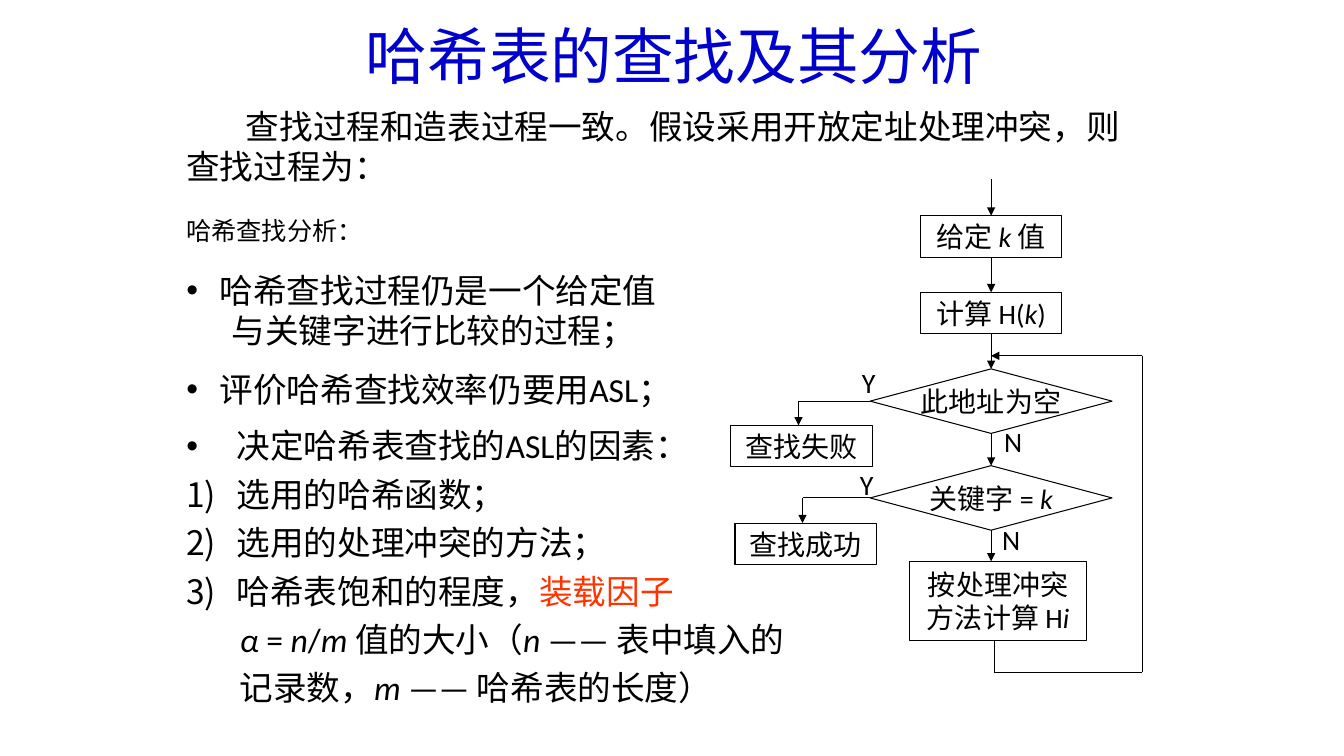
import pptx
import pptx.util
import pptx.dml.color
import pptx.enum.shapes
import pptx.enum.text
import pptx.oxml.ns
from lxml import etree

PX = 9144  # 100 px to the inch
COLORS = {"title": "0000CC", "text": "000000", "accent": "FF3300", "line": "000000"}
LATIN, CJK = "Calibri", "Noto Sans CJK SC"
TOP, LEFT, BOTTOM = 0, 1, 2
AXIS = 983  # centre of the main flow
SHAPE = pptx.enum.shapes.MSO_SHAPE
ALIGN = pptx.enum.text.PP_ALIGN
ANCHOR = pptx.enum.text.MSO_ANCHOR


def px(n):
    return pptx.util.Emu(n * PX)


def rgb(name):
    return pptx.dml.color.RGBColor.from_string(COLORS[name])


def sub(parent, tag, **attrs):
    return etree.SubElement(parent, pptx.oxml.ns.qn(tag), **attrs)


def add_run(p, text, size=24, color="text", italic=False, font=LATIN):
    r = p.add_run()
    r.text = text
    r.font.size = pptx.util.Pt(size)
    r.font.color.rgb = rgb(color)
    r.font.italic = italic
    r.font.name = font
    sub(r._r.get_or_add_rPr(), "a:ea", typeface=CJK)


def add_text(p, text, **fmt):
    """Write text in which *stars* enclose italic parts."""
    for i, part in enumerate(text.split("*")):
        if part:
            add_run(p, part, italic=i % 2 == 1, **fmt)


def set_list(p, margin=0, indent=0, bullet=None):
    """Set indents in px; bullet is a character, "number" or None."""
    pPr = p._p.get_or_add_pPr()
    pPr.set("marL", str(px(margin)))
    pPr.set("indent", str(px(indent)))
    if bullet == "number":
        sub(pPr, "a:buAutoNum", type="arabicParenR")
    elif bullet:
        sub(pPr, "a:buFont", typeface="Arial")
        sub(pPr, "a:buChar", char=bullet)
    else:
        sub(pPr, "a:buNone")


def paragraphs(tf, count):
    return [tf.paragraphs[0]] + [tf.add_paragraph() for _ in range(count - 1)]


def add_box(slide, x, y, w, h, lines, spacing=None, middle=False, **fmt):
    """Text box; each line is (text, list settings)."""
    tf = slide.shapes.add_textbox(px(x), px(y), px(w), px(h)).text_frame
    tf.word_wrap = True
    tf.vertical_anchor = ANCHOR.MIDDLE if middle else ANCHOR.TOP
    for p, (text, layout) in zip(paragraphs(tf, len(lines)), lines):
        if spacing:
            p.line_spacing = spacing
        set_list(p, **layout)
        add_text(p, text, **fmt)
    return tf


def add_node(slide, kind, x, y, w, h, *lines):
    sp = slide.shapes.add_shape(kind, px(x), px(y), px(w), px(h))
    sp.shadow.inherit = False
    sp.fill.background()
    sp.line.color.rgb = rgb("line")
    sp.line.width = pptx.util.Pt(0.75)
    tf = sp.text_frame
    tf.word_wrap = False
    tf.vertical_anchor = ANCHOR.MIDDLE
    for p, text in zip(paragraphs(tf, len(lines)), lines):
        p.alignment = ALIGN.CENTER
        add_text(p, text, size=20)
    return sp


def add_line(slide, start, end, arrow=False, begin=None, finish=None):
    """begin and finish are (shape, side) joints."""
    cx = slide.shapes.add_connector(
        pptx.enum.shapes.MSO_CONNECTOR.STRAIGHT, *map(px, start + end))
    if begin:
        cx.begin_connect(*begin)
    if finish:
        cx.end_connect(*finish)
    cx.line.color.rgb = rgb("line")
    cx.line.width = pptx.util.Pt(0.75)
    if arrow:
        sub(cx.line._get_or_add_ln(), "a:tailEnd", type="triangle")
    sub(cx._element.spPr, "a:effectLst")


def add_flowchart(slide):
    process, decision = SHAPE.FLOWCHART_PROCESS, SHAPE.FLOWCHART_DECISION
    given = add_node(slide, process, AXIS - 70, 214, 140, 41, "给定 *k* 值")
    compute = add_node(slide, process, AXIS - 70, 290, 140, 41, "计算 H(*k*)")
    empty = add_node(slide, decision, AXIS - 120, 366, 240, 64, "此地址为空")
    equal = add_node(slide, decision, AXIS - 120, 462, 240, 64, "关键字 = *k*")
    add_node(slide, process, 725, 422, 140, 41, "查找失败")
    add_node(slide, process, 729, 519, 140, 41, "查找成功")
    add_node(slide, process, 902, 557, 176, 78, "按处理冲突", "方法计算 H*i*")

    add_line(slide, (AXIS, 178), (AXIS, 214), True, finish=(given, TOP))
    for upper, lower in ((given, compute), (compute, empty), (empty, equal)):
        add_line(slide, (AXIS, 0), (AXIS, 0), True, (upper, BOTTOM), (lower, TOP))
    add_line(slide, (AXIS, 526), (AXIS, 557), True, begin=(equal, BOTTOM))

    for test, x, y, tip in ((empty, 792, 398, 422), (equal, 796, 494, 519)):
        add_line(slide, (AXIS - 120, y), (x, y), begin=(test, LEFT))
        add_line(slide, (x, y), (x, tip), True)

    loop = [(986, 635), (986, 667), (1133, 667), (1133, 353), (AXIS, 353)]
    for start, end in zip(loop, loop[1:]):
        add_line(slide, start, end, arrow=end == loop[-1])

    for text, x, y in (("Y", 845, 358), ("N", 986, 416), ("Y", 843, 459), ("N", 984, 514)):
        add_box(slide, x, y, 40, 43, [(text, {})], middle=True, size=20)


def main():
    prs = pptx.Presentation()
    prs.slide_width, prs.slide_height = px(1333), px(750)
    slide = prs.slides.add_slide(prs.slide_layouts[6])

    add_box(slide, 353, 13, 652, 84, [("哈希表的查找及其分析", {})],
            size=44, color="title", font=CJK)
    add_box(slide, 175, 100, 971, 91, [
        ("查找过程和造表过程一致。假设采用开放定址处理冲突，则", {"indent": 59}),
        ("查找过程为：", {})])
    add_flowchart(slide)

    add_box(slide, 175, 209, 203, 40, [("哈希查找分析：", {})], size=18)
    point = {"margin": 33, "indent": -33, "bullet": "•"}
    add_box(slide, 175, 263, 519, 91, [
        ("哈希查找过程仍是一个给定值", point),
        ("与关键字进行比较的过程；", {"margin": 45})])
    add_box(slide, 175, 361, 544, 50, [("评价哈希查找效率仍要用ASL；", point)])

    factor = {"margin": 50, "indent": -50, "bullet": "number"}
    detail = {"margin": 53}
    tf = add_box(slide, 175, 409, 660, 298, [
        ("决定哈希表查找的ASL的因素：", {**factor, "bullet": "•"}),
        ("选用的哈希函数；", factor),
        ("选用的处理冲突的方法；", factor),
        ("哈希表饱和的程度，", factor),
        ("*α* = *n*/*m* 值的大小（*n* —— 表中填入的", detail),
        ("记录数，*m* —— 哈希表的长度）", detail)], spacing=1.2)
    add_run(tf.paragraphs[3], "装载因子", color="accent")

    prs.save("out.pptx")


if __name__ == "__main__":
    main()
